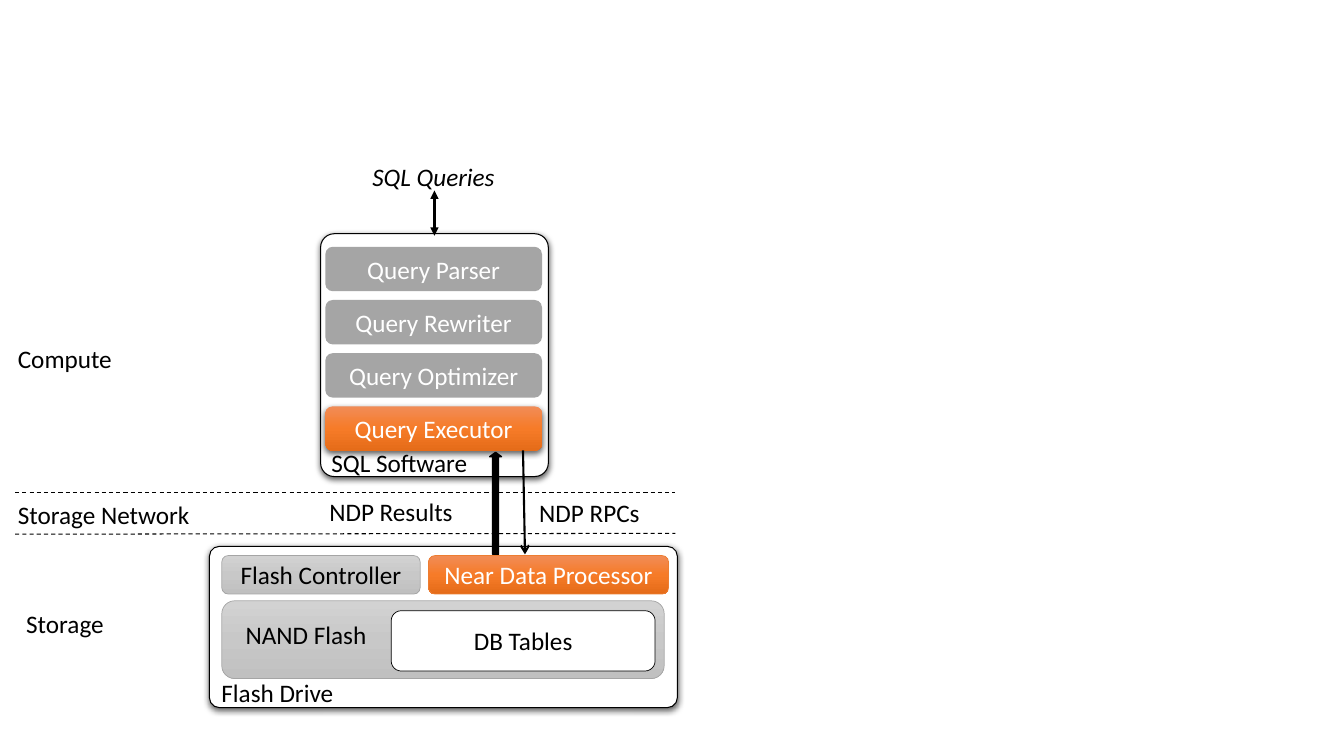
"""Builds the slide on near data processing between SQL software and a flash drive."""
from lxml import etree
from pptx import Presentation
from pptx.dml.color import RGBColor
from pptx.enum.dml import MSO_LINE
from pptx.enum.shapes import MSO_CONNECTOR, MSO_SHAPE
from pptx.enum.text import MSO_ANCHOR, PP_ALIGN
from pptx.oxml.ns import qn
from pptx.util import Cm, Pt

ROUNDED, UP_ARROW = MSO_SHAPE.ROUNDED_RECTANGLE, MSO_SHAPE.UP_ARROW
STRAIGHT, DASH = MSO_CONNECTOR.STRAIGHT, MSO_LINE.DASH
LEFT, CENTER = PP_ALIGN.LEFT, PP_ALIGN.CENTER
MIDDLE, TOP = MSO_ANCHOR.MIDDLE, MSO_ANCHOR.TOP

COLORS = {"black": "000000", "white": "FFFFFF", "gray": "A5A5A5", "orange": "ED7D31"}
GRADIENTS = {
    "silver": ("D2D2D2", "C8C8C8", "C0C0C0"),
    "flame": ("F18C57", "F67B28", "E56C19"),
}
FONT, FONT_SIZE = "Calibri", 18
LABEL_HEIGHT = 1.02

LAYERS = ["Query Parser", "Query Rewriter", "Query Optimizer", "Query Executor"]
LAYER_LEFT, LAYER_TOP, LAYER_WIDTH, LAYER_HEIGHT, LAYER_PITCH = 8.2, 6.22, 5.46, 1.12, 1.34

CONTAINERS = [(5.28, 13.77, 11.79, 4.06), (8.08, 5.89, 5.74, 6.12)]
DRIVE_PARTS = [
    ("", (5.59, 15.14, 11.15, 1.96), dict(fill="silver", line="gray")),
    ("DB Tables", (9.86, 15.39, 6.65, 1.52), dict(fill="white", line="black", color="black")),
    ("Flash Controller", (5.59, 14, 5, 0.97), dict(fill="silver", line="gray", color="black")),
    ("Near Data Processor", (10.8, 14, 6.05, 0.97), dict(fill="flame", line="orange")),
]
RESULTS_ARROW = (12.34, 11.4, 0.3, 2.57)
LINES = [
    ((10.95, 4.8), (10.95, 5.94), dict(width=1.5, head="triangle", tail="triangle")),
    ((0.38, 12.4), (17.02, 12.4), dict(dashed=True)),
    ((0.38, 13.46), (17.02, 13.44), dict(dashed=True)),
    ((13.18, 11.35), (13.23, 13.97), dict(width=1.5, tail="arrow")),
]
LABELS = [
    ("SQL Queries", 8.74, 3.94, 4.37, dict(align=CENTER, italic=True)),
    ("SQL Software", 8.1, 11.15, 4.62, {}),
    ("Compute", 0.2, 8.53, 3.05, {}),
    ("Storage Network", 0.2, 12.45, 6.07, {}),
    ("Storage", 0.41, 15.21, 2.62, {}),
    ("NDP Results", 8.05, 12.37, 4.55, {}),
    ("NDP RPCs", 13.34, 12.4, 7.49, {}),
    ("NAND Flash", 5.94, 15.49, 5.89, {}),
    ("Flash Drive", 5.33, 16.94, 5.89, {}),
]


def rgb(name):
    return RGBColor.from_string(COLORS[name])


def write(shape, text, color="black", align=LEFT, anchor=TOP, italic=False):
    frame = shape.text_frame
    frame.word_wrap = True
    frame.vertical_anchor = anchor
    paragraph = frame.paragraphs[0]
    paragraph.alignment = align
    run = paragraph.add_run()
    run.text = text
    run.font.name, run.font.size = FONT, Pt(FONT_SIZE)
    run.font.italic = italic
    run.font.color.rgb = rgb(color)


def paint(shape, fill):
    if fill in COLORS:
        shape.fill.solid()
        shape.fill.fore_color.rgb = rgb(fill)
        return
    shape.fill.gradient()
    shape.fill.gradient_angle = 270
    stops = shape.element.spPr.find(".//" + qn("a:gsLst"))
    for stop in list(stops):
        stops.remove(stop)
    for index, color in enumerate(GRADIENTS[fill]):
        stop = etree.SubElement(stops, qn("a:gs"), pos=str(index * 50000))
        etree.SubElement(stop, qn("a:srgbClr"), val=color)


def cast_shadow(shape):
    effects = shape.element.spPr.find(qn("a:effectLst"))
    shadow = etree.SubElement(effects, qn("a:outerShdw"), blurRad=str(Pt(4.5)),
                              dist=str(Pt(1.5)), dir="5400000", rotWithShape="0")
    color = etree.SubElement(shadow, qn("a:srgbClr"), val=COLORS["black"])
    etree.SubElement(color, qn("a:alpha"), val="63000")


def add_box(slide, box, text="", kind=ROUNDED, fill="white", line=None, width=0.5,
            color="white", adjustments=(), shadow=False):
    shape = slide.shapes.add_shape(kind, *map(Cm, box))
    for index, value in enumerate(adjustments):
        shape.adjustments[index] = value
    paint(shape, fill)
    if line:
        shape.line.color.rgb = rgb(line)
        shape.line.width = Pt(width)
    else:
        shape.line.fill.background()
    shape.shadow.inherit = False
    if shadow:
        cast_shadow(shape)
    if text:
        write(shape, text, color=color, align=CENTER, anchor=MIDDLE)


def add_line(slide, start, end, width=0.75, dashed=False, head=None, tail=None):
    connector = slide.shapes.add_connector(STRAIGHT, *map(Cm, start + end))
    connector.line.color.rgb = rgb("black")
    connector.line.width = Pt(width)
    if dashed:
        connector.line.dash_style = DASH
    properties = connector.element.spPr
    outline = properties.find(qn("a:ln"))
    for tag, arrow in (("a:headEnd", head), ("a:tailEnd", tail)):
        if arrow:
            etree.SubElement(outline, qn(tag), type=arrow)
    etree.SubElement(properties, qn("a:effectLst"))


presentation = Presentation()
presentation.slide_width, presentation.slide_height = Cm(33.87), Cm(19.05)
slide = presentation.slides.add_slide(presentation.slide_layouts[6])

for box in CONTAINERS:
    add_box(slide, box, line="black", width=0.75, adjustments=[0.06], shadow=True)
for index, layer in enumerate(LAYERS):
    runs_queries = layer == LAYERS[-1]
    box = (LAYER_LEFT, LAYER_TOP + index * LAYER_PITCH, LAYER_WIDTH, LAYER_HEIGHT)
    add_box(slide, box, layer, fill="flame" if runs_queries else "gray", shadow=runs_queries)
for start, end, style in LINES:
    add_line(slide, start, end, **style)
add_box(slide, RESULTS_ARROW, kind=UP_ARROW, fill="black", line="black", width=1,
        adjustments=[0.5, 0.36])
for text, box, style in DRIVE_PARTS:
    add_box(slide, box, text, **style)
for text, left, top, width, style in LABELS:
    label = slide.shapes.add_textbox(Cm(left), Cm(top), Cm(width), Cm(LABEL_HEIGHT))
    write(label, text, **style)

presentation.save("out.pptx")
